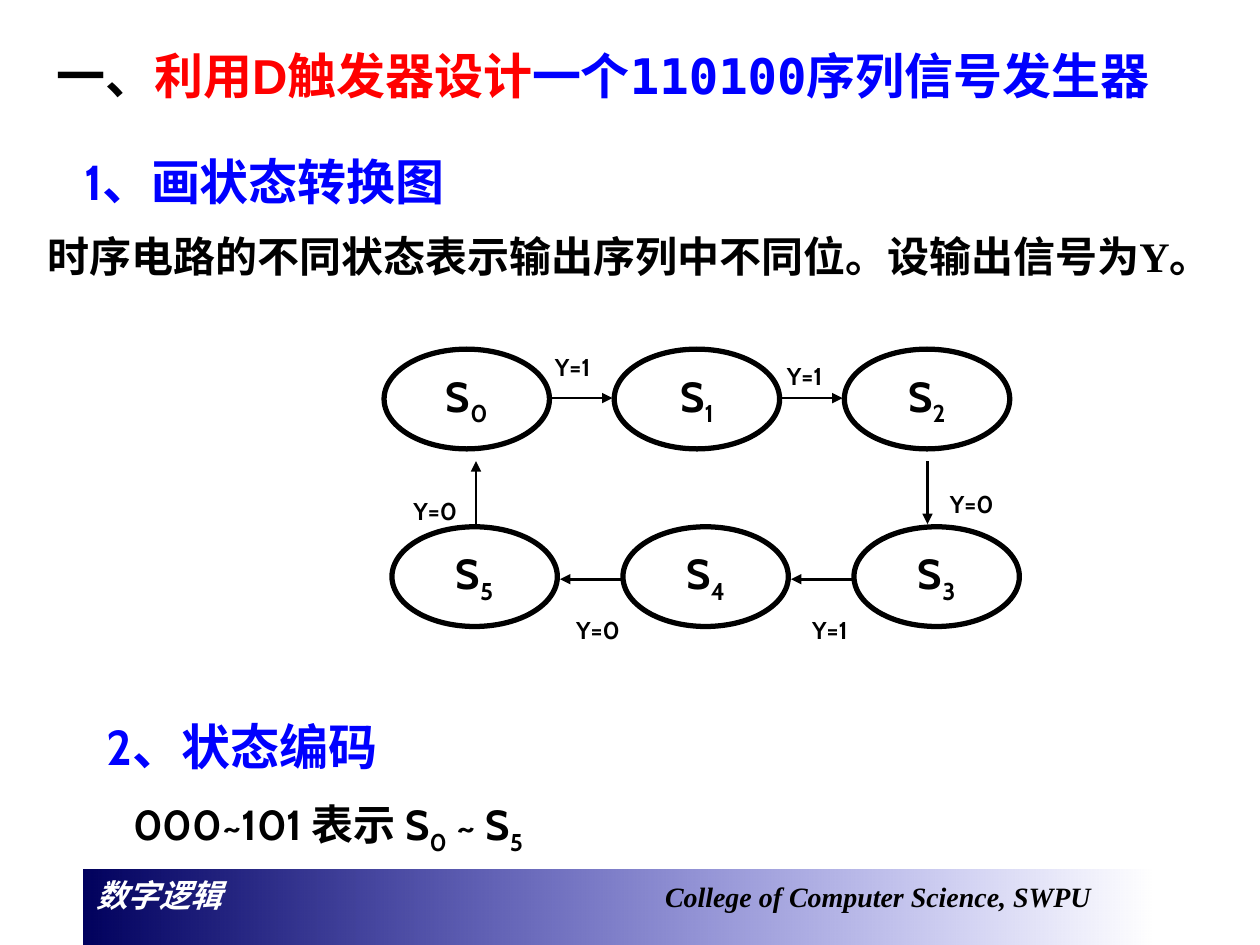
from lxml.etree import SubElement
from pptx import Presentation
from pptx.dml.color import RGBColor
from pptx.enum.dml import MSO_LINE
from pptx.enum.shapes import MSO_CONNECTOR, MSO_SHAPE
from pptx.enum.text import MSO_ANCHOR, MSO_AUTO_SIZE, PP_ALIGN
from pptx.oxml.ns import qn
from pptx.util import Pt

COLORS = {"black": "000000", "red": "FF0000", "blue": "0000FF",
          "white": "FFFFFF", "navy": "00005E", "royal": "0000CC"}
CABIN, TIMES = "Cabin", "Times New Roman"

# Runs: (text, font, size, color)
TITLE = [("一、", "Arial", 28, "black"),
         ("利用D触发器设计", "Arial", 28, "red"),
         ("一个110100序列信号发生器", "DejaVu Sans Mono", 28, "blue")]
BANNER = [("数字逻辑", TIMES, 18, "white"),
          ("\t", TIMES, 16, "black"),
          ("College of Computer Science, SWPU", TIMES, 16, "black")]
# Text boxes: (left, top, width, height), runs; a fifth run item marks a subscript
TEXTS = [
    ((41, 83, 233, 41), [("1、画状态转换图", CABIN, 28, "blue")]),
    ((54, 406, 204, 41), [("2、状态编码", CABIN, 28, "blue")]),
    ((69, 453, 347, 40), [("000~101 表示 S", CABIN, 24, "black"),
                          ("0", CABIN, 24, "black", True),
                          (" ~ S", CABIN, 24, "black"),
                          ("5", CABIN, 24, "black", True)]),
    ((20, 128, 700, 36), [("时序电路的不同状态表示输出序列中不同位。设输出信号为Y。",
                           TIMES, 24, "black")]),
]

STATE_WIDTH, STATE_HEIGHT = 94.5, 57
ARROW_LENGTH = 36
# Rows: states from left to right, left, top, pitch
STATE_ROWS = [((0, 1, 2), 219.5, 199.5, 131.5), ((5, 4, 3), 224, 301, 132)]
# Transitions: source state, direction (x, y), output, label left and top
TRANSITIONS = [(0, (1, 0), "Y=1", 306, 181.5), (1, (1, 0), "Y=1", 438.5, 187),
               (2, (0, 1), "Y=0", 534, 260), (3, (-1, 0), "Y=1", 453, 332),
               (4, (-1, 0), "Y=0", 320.5, 332), (5, (0, -1), "Y=0", 227.5, 264)]
VERTICAL_X = {2: 530, 5: 272}
VERTICAL_TOP = 263.5
ROW_ARROW_Y = {0: 227.5, 1: 227.5, 3: 331, 4: 331}


def rgb(name):
    return RGBColor.from_string(COLORS[name])


def add_runs(shape, runs, align=PP_ALIGN.LEFT, anchor=MSO_ANCHOR.TOP,
             wrap=True, italic=False):
    frame = shape.text_frame
    frame.auto_size = MSO_AUTO_SIZE.NONE
    frame.word_wrap = wrap
    frame.vertical_anchor = anchor
    paragraph = frame.paragraphs[0]
    paragraph.alignment = align
    for text, font, size, color, *subscript in runs:
        run = paragraph.add_run()
        run.text = text
        run.font.name = font
        run.font.size = Pt(size)
        run.font.bold = True
        run.font.italic = italic
        run.font.color.rgb = rgb(color)
        if subscript:
            run.font._element.set("baseline", "-25000")
    return paragraph


def add_text(slide, box, runs, **options):
    shape = slide.shapes.add_textbox(*map(Pt, box))
    add_runs(shape, runs, **options)


def add_banner(slide):
    banner = slide.shapes.add_shape(MSO_SHAPE.RECTANGLE,
                                    *map(Pt, (48, 497, 612, 50)))
    banner.shadow.inherit = False
    banner.line.fill.background()
    banner.fill.gradient()
    banner.fill.gradient_angle = 0
    for stop, position, color in zip(banner.fill.gradient_stops, (0, 1),
                                     ("navy", "royal")):
        stop.position = position
        stop.color.rgb = rgb(color)
    last_color = banner.fill._xPr.findall(".//" + qn("a:srgbClr"))[-1]
    SubElement(last_color, qn("a:alpha"), val="0")
    paragraph = add_runs(banner, BANNER, italic=True)
    tabs = SubElement(paragraph._p.get_or_add_pPr(), qn("a:tabLst"))
    SubElement(tabs, qn("a:tab"), pos=str(Pt(325)), algn="l")


def add_state(slide, number, left, top):
    state = slide.shapes.add_shape(
        MSO_SHAPE.OVAL, *map(Pt, (left, top, STATE_WIDTH, STATE_HEIGHT)))
    state.shadow.inherit = False
    state.fill.background()
    state.line.color.rgb = rgb("black")
    state.line.width = Pt(3)
    add_runs(state, [("S", CABIN, 24, "black"),
                     (str(number), CABIN, 24, "black", True)],
             align=PP_ALIGN.CENTER, anchor=MSO_ANCHOR.MIDDLE)


def add_arrow(slide, x, y, direction):
    end = [start + ARROW_LENGTH * step for start, step in zip((x, y), direction)]
    arrow = slide.shapes.add_connector(MSO_CONNECTOR.STRAIGHT,
                                       *map(Pt, (x, y, *end)))
    arrow.line.color.rgb = rgb("black")
    arrow.line.width = Pt(1.5)
    arrow.line.dash_style = MSO_LINE.SOLID
    SubElement(arrow.line._get_or_add_ln(), qn("a:tailEnd"), type="triangle")
    SubElement(arrow._element.spPr, qn("a:effectLst"))


def arrow_start(source, direction, state_left):
    across, down = direction
    if down:
        return VERTICAL_X[source], VERTICAL_TOP + (ARROW_LENGTH if down < 0 else 0)
    edge = state_left + (STATE_WIDTH if across > 0 else 0)
    return edge, ROW_ARROW_Y[source]


def main():
    presentation = Presentation()
    presentation.slide_width, presentation.slide_height = Pt(720), Pt(540)
    slide = presentation.slides.add_slide(presentation.slide_layouts[5])
    add_banner(slide)

    title = slide.shapes.title
    title.left, title.top, title.width, title.height = map(Pt, (25, 22.5, 660, 41))
    add_runs(title, TITLE)
    for box, runs in TEXTS:
        add_text(slide, box, runs)

    state_lefts = {}
    for states, left, top, pitch in STATE_ROWS:
        for column, number in enumerate(states):
            state_lefts[number] = left + column * pitch
            add_state(slide, number, state_lefts[number], top)

    for source, direction, output, left, top in TRANSITIONS:
        x, y = arrow_start(source, direction, state_lefts[source])
        add_arrow(slide, x, y, direction)
        add_text(slide, (left, top, 42.5, 40),
                 [(output, CABIN, 24, "black", True)],
                 align=PP_ALIGN.CENTER, wrap=False)

    presentation.save("out.pptx")


if __name__ == "__main__":
    main()
